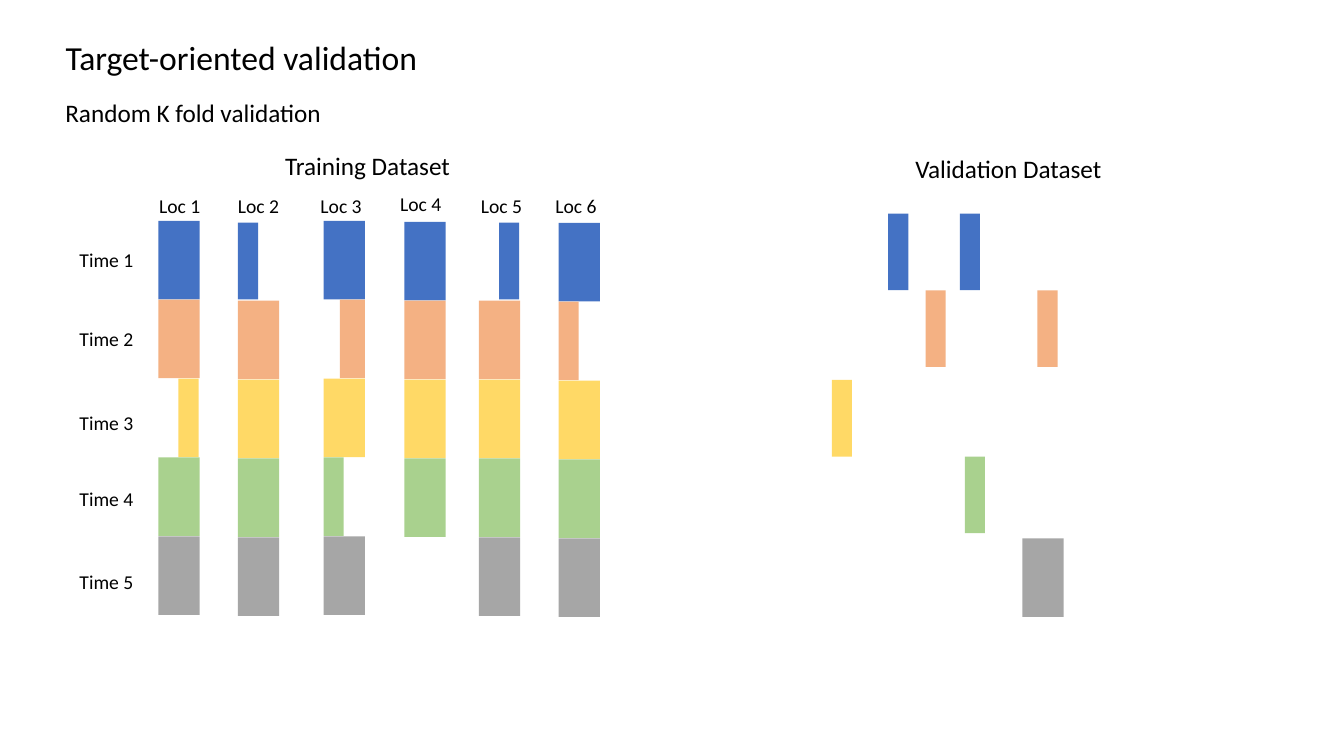
from dataclasses import dataclass

from pptx import Presentation
from pptx.dml.color import RGBColor as RGB
from pptx.enum.shapes import MSO_SHAPE as Shape
from pptx.enum.text import MSO_ANCHOR as Anchor
from pptx.enum.text import MSO_AUTO_SIZE as Fit
from pptx.enum.text import PP_ALIGN as Align
from pptx.util import Inches, Pt


@dataclass(frozen=True)
class Theme:
    face: str = "Calibri"
    ink: str = "000000"
    title: int = 24
    head: int = 18
    label: int = 14
    rows: tuple = ("4472C4", "F4B183", "FFD966", "A9D18E", "A6A6A6")


THEME = Theme()
FULL, HALF = 0.41, 0.2
TALL, SHORT = 0.78, 0.76
PITCH = (5.32 - 2.19) / 4

COLS = ((1.57, 2.19), (2.36, 2.2), (3.21, 2.19),
        (4.01, 2.2), (4.75, 2.2), (5.54, 2.21))
LOCS = ((1.48, 1.87), (2.26, 1.87), (3.08, 1.87),
        (3.87, 1.85), (4.67, 1.87), (5.41, 1.87))
TIMES = (2.41, 3.19, 4.03, 4.78, 5.61)

PARTS = {
    (0, 2): (0.2, 0, HALF, TALL),
    (1, 0): (0, 0.01, HALF, SHORT),
    (2, 1): (0.16, 0, 0.25, TALL),
    (2, 3): (0, 0, HALF, TALL),
    (4, 0): (0.2, 0.01, HALF, SHORT),
    (5, 1): (0, 0, HALF, TALL),
}
GAPS = {(3, 4)}

HELD = (
    (0, 8.81, 2.12, HALF, SHORT),
    (0, 9.52, 2.12, HALF, SHORT),
    (1, 9.18, 2.88, HALF, SHORT),
    (1, 10.29, 2.88, HALF, SHORT),
    (2, 8.25, 3.77, HALF, SHORT),
    (3, 9.57, 4.53, HALF, SHORT),
    (4, 10.14, 5.34, FULL, TALL),
)


def apply(item, props):
    for name, value in props.items():
        setattr(item, name, value)


def write(box, text, size):
    frame = box.text_frame
    frame.text = text
    apply(frame, {"word_wrap": True, "auto_size": Fit.SHAPE_TO_FIT_TEXT,
                  "vertical_anchor": Anchor.TOP})
    para = frame.paragraphs[0]
    para.alignment = Align.LEFT
    font = para.runs[0].font
    apply(font, {"name": THEME.face, "size": Pt(size)})
    font.color.rgb = RGB.from_string(THEME.ink)


def add_title(slide, text, left, top, width, height):
    title = slide.shapes.title
    apply(title, {"left": Inches(left), "top": Inches(top),
                  "width": Inches(width), "height": Inches(height)})
    write(title, text, THEME.title)


def add_text(slide, text, size, left, top, width, height):
    box = slide.shapes.add_textbox(
        Inches(left), Inches(top), Inches(width), Inches(height))
    write(box, text, size)


def add_block(slide, row, left, top, width, height):
    block = slide.shapes.add_shape(
        Shape.RECTANGLE,
        Inches(left), Inches(top), Inches(width), Inches(height))
    block.shadow.inherit = False
    block.fill.solid()
    block.fill.fore_color.rgb = RGB.from_string(THEME.rows[row])
    block.line.fill.background()


def add_train(slide):
    for col, (left, top) in enumerate(COLS):
        for row in range(len(THEME.rows)):
            if (col, row) in GAPS:
                continue
            dx, dy, width, height = PARTS.get((col, row), (0, 0, FULL, TALL))
            add_block(slide, row, left + dx, top + row * PITCH + dy,
                      width, height)
    for num, (left, top) in enumerate(LOCS, 1):
        add_text(slide, f"Loc {num}", THEME.label, left, top, 0.68, 0.34)
    for num, top in enumerate(TIMES, 1):
        add_text(slide, f"Time {num}", THEME.label, 0.69, top, 1, 0.34)


def main():
    deck = Presentation()
    apply(deck, {"slide_width": Inches(13.33), "slide_height": Inches(7.5)})
    slide = deck.slides.add_slide(deck.slide_layouts.get_by_name("Title Only"))
    add_title(slide, "Target-oriented validation", 0.55, 0.32, 7.46, 0.5)
    add_text(slide, "Random K fold validation", THEME.head,
             0.55, 0.92, 4.3, 0.4)
    add_text(slide, "Training Dataset", THEME.head, 2.73, 1.44, 2.06, 0.4)
    add_text(slide, "Validation Dataset", THEME.head, 8.98, 1.47, 2.06, 0.4)
    add_train(slide)
    for block in HELD:
        add_block(slide, *block)
    deck.save("out.pptx")


if __name__ == "__main__":
    main()
